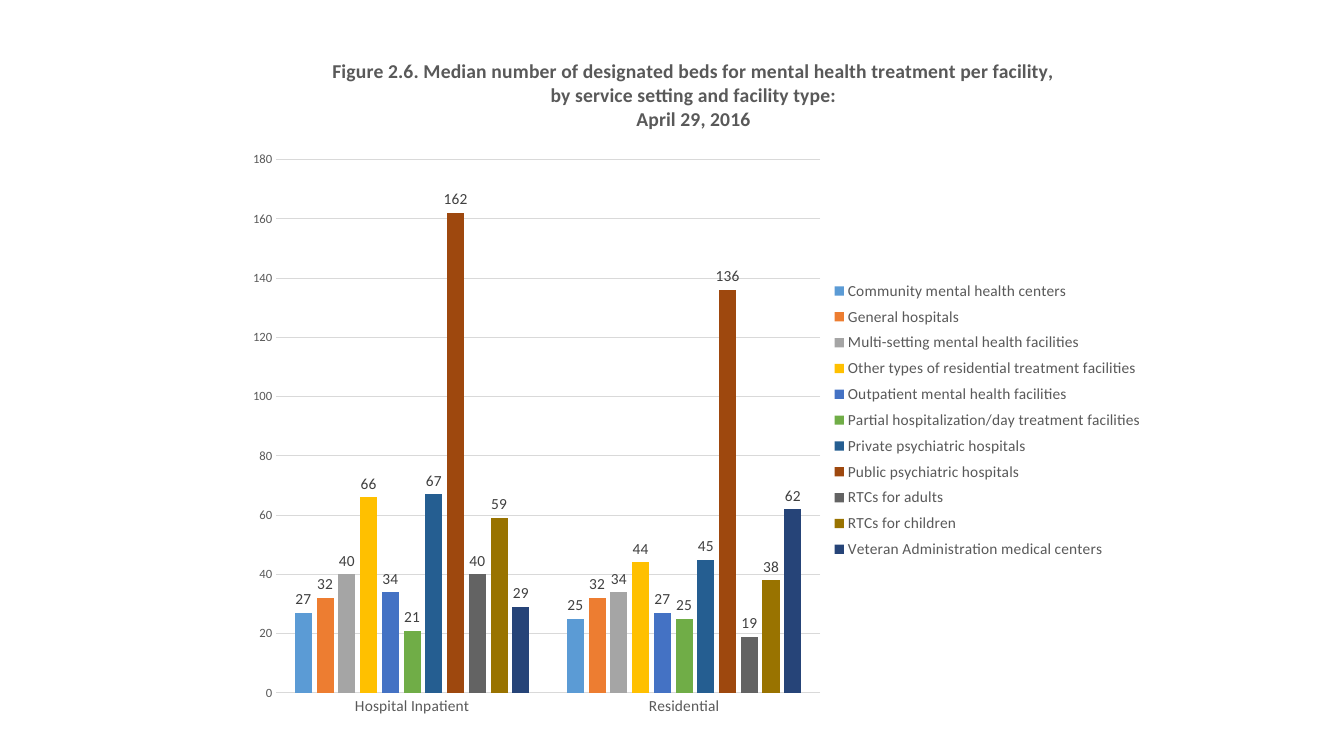
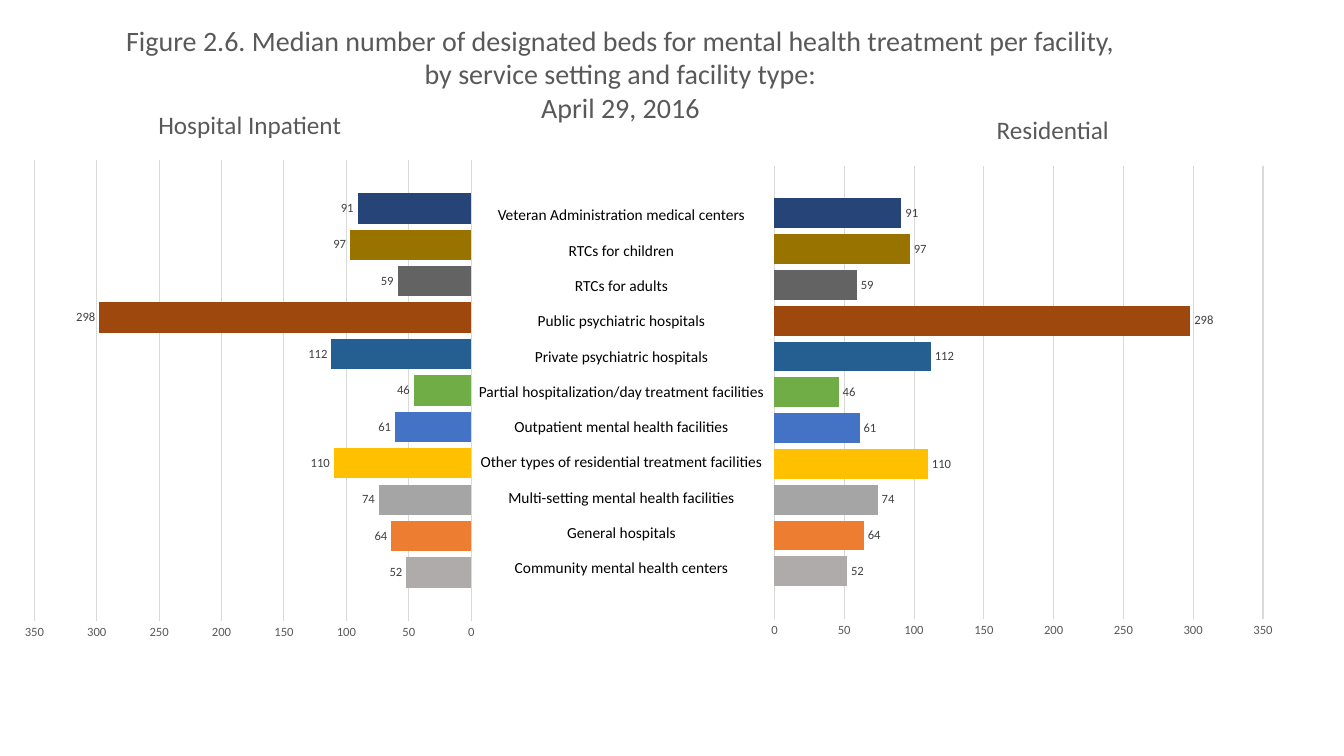
from lxml.etree import SubElement
from pptx import Presentation
from pptx.chart.data import CategoryChartData as Data
from pptx.dml.color import RGBColor
from pptx.enum.chart import XL_CHART_TYPE as Kind
from pptx.enum.chart import XL_LABEL_POSITION as Spot
from pptx.enum.chart import XL_LEGEND_POSITION as Side
from pptx.enum.chart import XL_TICK_MARK as Tick
from pptx.enum.text import PP_ALIGN as Align
from pptx.oxml import parse_xml
from pptx.oxml.ns import nsdecls, qn
from pptx.util import Pt

FACE = "Calibri"
GREY, DARK, PALE, BLACK = "595959", "404040", "D9D9D9", "000000"
HEAD = [
    "Figure 2.6. Median number of designated beds for mental health treatment per facility,",
    "by service setting and facility type:",
    "April 29, 2016",
]
SETTINGS = ["Hospital Inpatient", "Residential"]
# facility type, colour, inpatient median, residential median, paired bar value
ROWS = [
    ("Community mental health centers", "5B9BD5", 27, 25, 52),
    ("General hospitals", "ED7D31", 32, 32, 64),
    ("Multi-setting mental health facilities", "A5A5A5", 40, 34, 74),
    ("Other types of residential treatment facilities", "FFC000", 66, 44, 110),
    ("Outpatient mental health facilities", "4472C4", 34, 27, 61),
    ("Partial hospitalization/day treatment facilities", "70AD47", 21, 25, 46),
    ("Private psychiatric hospitals", "255E91", 67, 45, 112),
    ("Public psychiatric hospitals", "9E480E", 162, 136, 298),
    ("RTCs for adults", "636363", 40, 19, 59),
    ("RTCs for children", "997300", 59, 38, 97),
    ("Veteran Administration medical centers", "264478", 29, 62, 91),
]
NAMES = [row[0] for row in ROWS]
HUES = [row[1] for row in ROWS]
BAR_HUES = ["AFABAB"] + HUES[1:]

# chart frames, left, top, width, height
COLS = (168.5, 25.2, 653.8, 496)
LEFT = (10.8, 61.9, 334.8, 403.2)
RIGHT = (543.6, 110.2, 382.3, 355)


def color(code):
    return RGBColor.from_string(code)


def style(font, size, code=GREY, bold=False):
    font.name, font.size, font.bold = FACE, Pt(size), bold
    font.color.rgb = color(code)


def rule(line):
    line.color.rgb = color(PALE)
    line.width = Pt(0.75)


def place(part, frame, spot, inner=False):
    """Lay a chart part out at spot, in points from the chart's corner."""
    lay = part.find(qn("c:layout"))
    if lay is None:
        lay = parse_xml(f"<c:layout {nsdecls('c')}/>")
        part.insert(0 if part.find(qn("c:legendPos")) is None else 1, lay)
    for old in list(lay):
        lay.remove(old)
    box = SubElement(lay, qn("c:manualLayout"))
    if inner:
        SubElement(box, qn("c:layoutTarget")).set("val", "inner")
    for axis in "xy":
        SubElement(box, qn(f"c:{axis}Mode")).set("val", "edge")
    for key, val, full in zip("xywh", spot, frame[2:] * 2):
        SubElement(box, qn(f"c:{key}")).set("val", str(val / full))


def add_chart(slide, kind, box, cats, vals, hues, plot, top, step, lap, size):
    data = Data()
    data.categories = cats
    for name, nums in zip(NAMES, vals):
        data.add_series(name, nums)
    chart = slide.shapes.add_chart(kind, *map(Pt, box), data).chart
    chart.has_title = chart.has_legend = False
    style(chart.font, 10, BLACK)
    bars = chart.plots[0]
    bars.gap_width, bars.overlap, bars.vary_by_categories = 219, lap, False
    for ser, hue in zip(bars.series, hues):
        ser.format.fill.solid()
        ser.format.fill.fore_color.rgb = color(hue)
        tags = ser.data_labels
        tags.show_value, tags.position = True, Spot.OUTSIDE_END
        style(tags.font, size, DARK)
    axis = chart.value_axis
    axis.minimum_scale, axis.maximum_scale, axis.major_unit = 0, top, step
    axis.major_tick_mark = Tick.NONE
    axis.format.line.fill.background()
    rule(axis.major_gridlines.format.line)
    style(axis.tick_labels.font, 9)
    place(bars._element.getparent(), box, plot, True)
    return chart


def add_title(chart, lines, size, bold=False):
    chart.has_title = True
    frame = chart.chart_title.text_frame
    for i, line in enumerate(lines):
        para = frame.add_paragraph() if i else frame.paragraphs[0]
        para.text = line
        style(para.font, size, bold=bold)
    return chart.chart_title


def add_text(slide, box, lines, size, code=GREY, gap=0):
    frame = slide.shapes.add_textbox(*map(Pt, box)).text_frame
    frame.word_wrap = True
    for i, line in enumerate(lines):
        para = frame.add_paragraph() if i else frame.paragraphs[0]
        para.text, para.alignment, para.space_after = line, Align.CENTER, Pt(gap)
        style(para.font, size, code)


def columns(slide):
    chart = add_chart(slide, Kind.COLUMN_CLUSTERED, COLS,
                      SETTINGS, [row[2:4] for row in ROWS], HUES,
                      (28.8, 88.8, 388.5, 381), 180, 20, -27, 11)
    add_title(chart, [" ".join(HEAD[:2]), HEAD[2]], 14, True)
    axis = chart.category_axis
    axis.major_tick_mark = Tick.NONE
    rule(axis.format.line)
    style(axis.tick_labels.font, 11)
    chart.has_legend = True
    key = chart.legend
    key.position, key.include_in_layout = Side.RIGHT, False
    style(key.font, 11)
    place(key._element, COLS, (424, 171, 226, 208))


def add_bars(slide, box, plot):
    chart = add_chart(slide, Kind.BAR_CLUSTERED, box, ["1"],
                      [row[4:] for row in ROWS], BAR_HUES, plot, 350, 50, -20, 9)
    chart.category_axis.visible = False
    return chart


def mirror(slide):
    add_bars(slide, RIGHT, (9.6, 8.2, 349, 323.7))
    add_text(slide, (10.5, 13, 865.4, 80), HEAD, 20)
    add_text(slide, (700, 78, 104, 29), SETTINGS[1:], 18)
    add_text(slide, (334.5, 143.3, 218.9, 292.3), NAMES[::-1], 11, BLACK, 12)
    left = add_bars(slide, LEFT, (13.8, 52.4, 312, 329.4))
    left.value_axis.reverse_order = True
    title = add_title(left, SETTINGS[:1], 18)
    place(title._element, LEFT, (99, 11.2))


def main():
    deck = Presentation()
    deck.slide_width, deck.slide_height = Pt(960), Pt(540)
    for build in (columns, mirror):
        build(deck.slides.add_slide(deck.slide_layouts[6]))
    deck.save("out.pptx")


if __name__ == "__main__":
    main()
